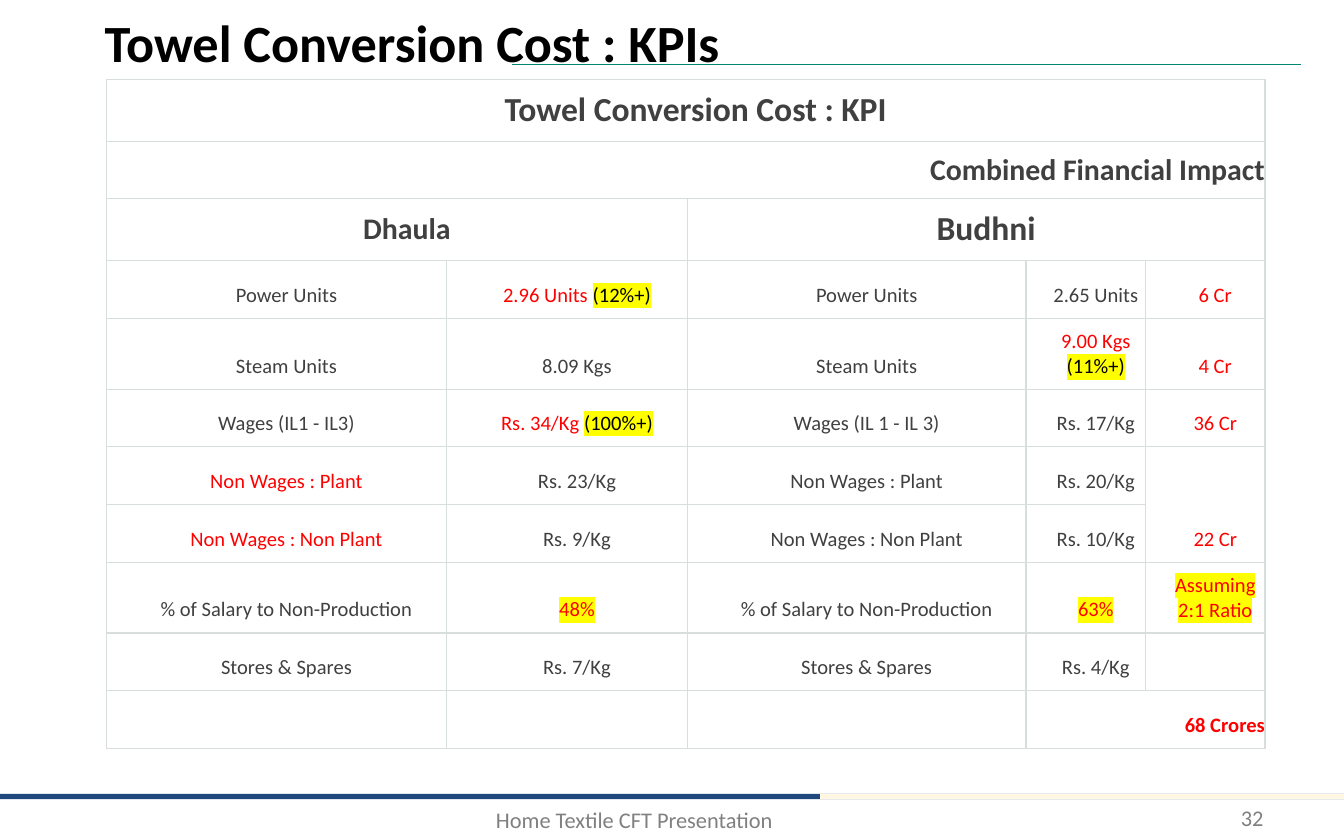
from lxml.etree import SubElement
from pptx import Presentation
from pptx.dml.color import RGBColor
from pptx.enum.shapes import MSO_CONNECTOR, MSO_SHAPE
from pptx.enum.text import MSO_ANCHOR, PP_ALIGN
from pptx.oxml.ns import qn
from pptx.util import Cm, Pt

COLOURS = {
    "title": "000000", "body": "404040", "alert": "FF0000", "marker": "FFFF00",
    "footer": "808080", "navy": "1F497D", "cream": "FFF7E1",
    "teal": "008576", "grid": "D8DEDC",
}

# Span style: text colour, highlight colour
STYLES = {
    "plain": ("body", None),
    "alert": ("alert", None),
    "marked": ("title", "marker"),
    "alert marked": ("alert", "marker"),
}

COLUMN_WIDTHS = [6.43, 4.55, 6.4, 2.26, 2.26]
ROW_HEIGHTS = [1.17, 1.06, 1.17, 1.1, 1.34, 1.09, 1.09, 1.09, 1.34, 1.09, 1.09]

# Row, first column, last column, text, size, alignment
HEADINGS = [
    (0, 0, 4, "Towel Conversion Cost : KPI", 18, PP_ALIGN.CENTER),
    (1, 0, 4, "Combined Financial Impact", 16, PP_ALIGN.RIGHT),
    (2, 0, 1, "Dhaula", 16, PP_ALIGN.CENTER),
    (2, 2, 4, "Budhni", 18, PP_ALIGN.CENTER),
]

# A cell is plain text or a list of (text, style) spans
KPI_ROWS = [
    ["Power Units", [("2.96 Units ", "alert"), ("(12%+)", "marked")],
     "Power Units", "2.65 Units", [("6 Cr", "alert")]],
    ["Steam Units", "8.09 Kgs", "Steam Units",
     [("9.00 Kgs ", "alert"), ("(11%+)", "marked")], [("4 Cr", "alert")]],
    ["Wages (IL1 - IL3)", [("Rs. 34/Kg ", "alert"), ("(100%+)", "marked")],
     "Wages (IL 1 - IL 3)", "Rs. 17/Kg", [("36 Cr", "alert")]],
    [[("Non Wages : Plant", "alert")], "Rs. 23/Kg",
     "Non Wages : Plant", "Rs. 20/Kg", [("22 Cr", "alert")]],
    [[("Non Wages : Non Plant", "alert")], "Rs. 9/Kg",
     "Non Wages : Non Plant", "Rs. 10/Kg", ""],
    ["% of Salary to Non-Production", [("48%", "alert marked")],
     "% of Salary to Non-Production", [("63%", "alert marked")],
     [("Assuming 2:1 Ratio", "alert marked")]],
    ["Stores & Spares", "Rs. 7/Kg", "Stores & Spares", "Rs. 4/Kg", ""],
]
FIRST_KPI_ROW = 3
TOTAL_ROW = 10


def colour(name):
    return RGBColor.from_string(COLOURS[name])


def format_span(span, size, colour_name, bold=False, highlight=None):
    span.font.name = "Calibri"
    span.font.size = Pt(size)
    span.font.bold = bold
    span.font.color.rgb = colour(colour_name)
    if highlight:
        properties = span.font._element
        mark = SubElement(properties, qn("a:highlight"))
        SubElement(mark, qn("a:srgbClr"), val=COLOURS[highlight])
        properties.find(qn("a:solidFill")).addnext(mark)


def add_text(page, text, left, top, width, height, size, colour_name,
             alignment, anchor=MSO_ANCHOR.MIDDLE, bold=False):
    box = page.shapes.add_textbox(Cm(left), Cm(top), Cm(width), Cm(height))
    frame = box.text_frame
    frame.word_wrap = True
    frame.vertical_anchor = anchor
    frame.text = text
    para = frame.paragraphs[0]
    para.alignment = alignment
    format_span(para.runs[0], size, colour_name, bold)


def add_band(page, left, width, colour_name):
    band = page.shapes.add_shape(
        MSO_SHAPE.RECTANGLE, Cm(left), Cm(15.01), Cm(width), Cm(0.1))
    band.shadow.inherit = False
    band.fill.solid()
    band.fill.fore_color.rgb = colour(colour_name)
    band.line.fill.background()


def add_rule(page, left, right, height):
    rule = page.shapes.add_connector(
        MSO_CONNECTOR.STRAIGHT, Cm(left), Cm(height), Cm(right), Cm(height))
    rule.line.color.rgb = colour("teal")
    rule.line.width = Pt(0.5)
    SubElement(rule._element.spPr, qn("a:effectLst"))


def draw_borders(cell):
    properties = cell._tc.get_or_add_tcPr()
    for side in ("lnL", "lnR", "lnT", "lnB"):
        border = SubElement(properties, qn(f"a:{side}"), w=str(Pt(0.75)))
        fill = SubElement(border, qn("a:solidFill"))
        SubElement(fill, qn("a:srgbClr"), val=COLOURS["grid"])


def fill_cell(cell, content, size=11, alignment=PP_ALIGN.CENTER,
              anchor=MSO_ANCHOR.BOTTOM, bold=False):
    if not content:
        return
    cell.margin_left, cell.margin_right = Cm(0.38), Cm(0)
    cell.margin_top = cell.margin_bottom = Cm(0.2)
    cell.vertical_anchor = anchor
    para = cell.text_frame.paragraphs[0]
    para.alignment = alignment
    spans = [(content, "plain")] if isinstance(content, str) else content
    for text, style in spans:
        span = para.add_run()
        span.text = text
        colour_name, highlight = STYLES[style]
        format_span(span, size, colour_name, bold, highlight)


def add_kpi_table(page):
    table = page.shapes.add_table(
        len(ROW_HEIGHTS), len(COLUMN_WIDTHS), Cm(2.01), Cm(1.5),
        Cm(sum(COLUMN_WIDTHS)), Cm(sum(ROW_HEIGHTS))).table
    table.first_row = table.horz_banding = False
    for column, width in zip(table.columns, COLUMN_WIDTHS):
        column.width = Cm(width)
    for row, height in zip(table.rows, ROW_HEIGHTS):
        row.height = Cm(height)
    for cell in table.iter_cells():
        draw_borders(cell)
        cell.fill.background()

    # Headings
    for row, first, last, text, size, alignment in HEADINGS:
        table.cell(row, first).merge(table.cell(row, last))
        fill_cell(table.cell(row, first), text, size, alignment,
                  MSO_ANCHOR.MIDDLE, bold=True)

    # Figures; both non-wage rows share one impact
    table.cell(6, 4).merge(table.cell(7, 4))
    for row, contents in enumerate(KPI_ROWS, FIRST_KPI_ROW):
        for column, content in enumerate(contents):
            fill_cell(table.cell(row, column), content)

    # Total
    table.cell(TOTAL_ROW, 3).merge(table.cell(TOTAL_ROW, 4))
    fill_cell(table.cell(TOTAL_ROW, 3), [(" 68 Crores", "alert")],
              alignment=PP_ALIGN.RIGHT, bold=True)


def main():
    deck = Presentation()
    deck.slide_width, deck.slide_height = Cm(25.4), Cm(15.88)
    page = deck.slides.add_slide(deck.slide_layouts[6])

    # Footer
    add_band(page, 0, 25.4, "navy")
    add_band(page, 15.5, 9.9, "cream")
    add_text(page, "Home Textile CFT Presentation", 3.2, 15.11, 17.58, 0.69,
             12, "footer", PP_ALIGN.CENTER, MSO_ANCHOR.TOP)
    add_text(page, "32", 18.21, 15.14, 5.92, 0.64,
             12, "footer", PP_ALIGN.RIGHT)

    # Title
    add_text(page, "Towel Conversion Cost : KPIs", 1.73, 0.18, 21.9, 1.2,
             28, "title", PP_ALIGN.LEFT, bold=True)
    add_rule(page, 9.68, 24.59, 1.21)

    # Table
    add_kpi_table(page)
    deck.save("out.pptx")


if __name__ == "__main__":
    main()
